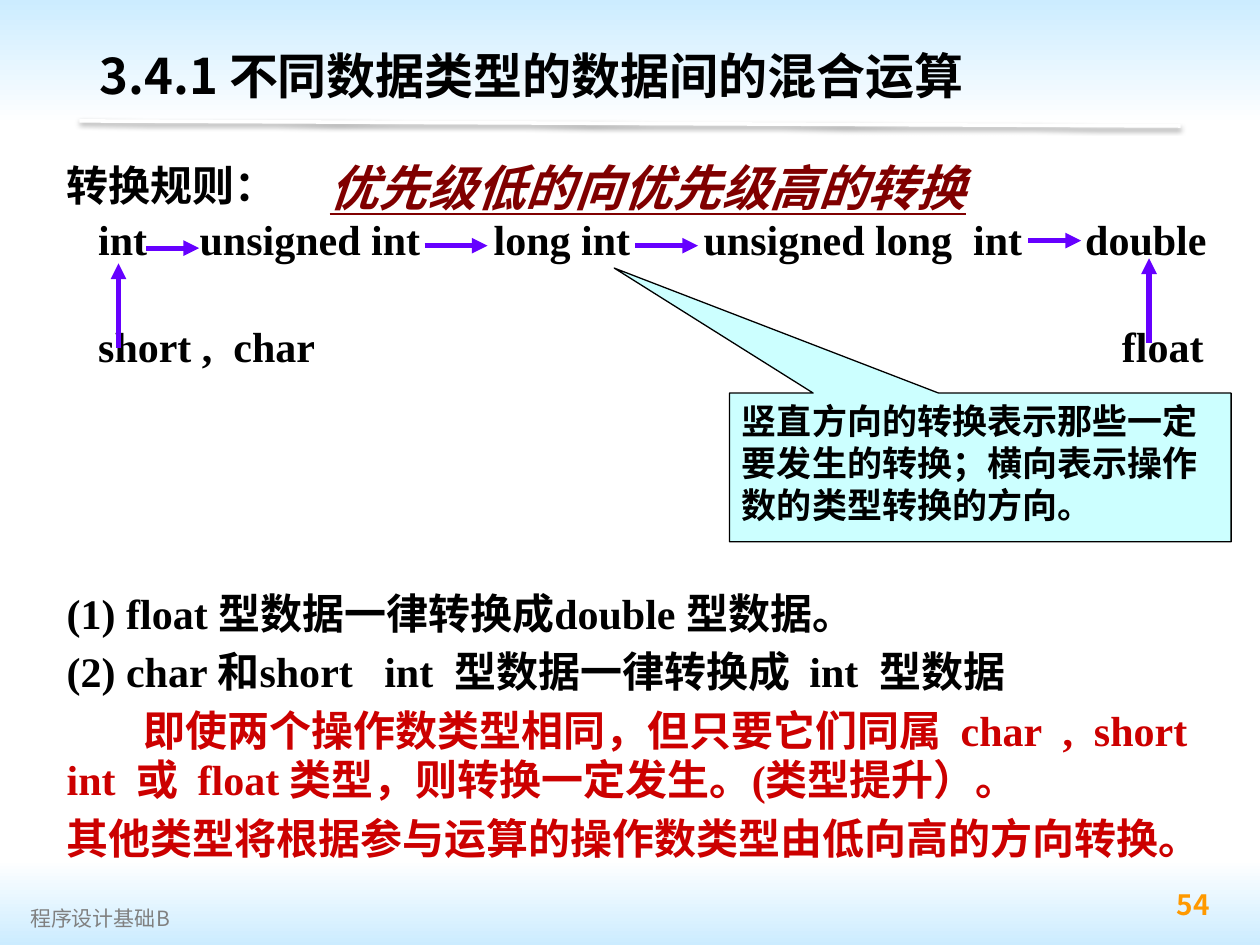
"""Build the slide on mixed arithmetic between data types."""
from lxml import etree
from pptx import Presentation
from pptx.dml.color import RGBColor
from pptx.enum.shapes import MSO_CONNECTOR, MSO_SHAPE
from pptx.enum.text import MSO_ANCHOR, MSO_AUTO_SIZE, PP_ALIGN
from pptx.oxml.ns import qn
from pptx.util import Pt

RECTANGLE, CALLOUT = MSO_SHAPE.RECTANGLE, MSO_SHAPE.RECTANGULAR_CALLOUT
STRAIGHT = MSO_CONNECTOR.STRAIGHT
TOP, MIDDLE = MSO_ANCHOR.TOP, MSO_ANCHOR.MIDDLE
LEFT, CENTER, RIGHT = PP_ALIGN.LEFT, PP_ALIGN.CENTER, PP_ALIGN.RIGHT
NO_FIT = MSO_AUTO_SIZE.NONE

SANS, SERIF = "Noto Sans CJK SC", "Times New Roman"
COLORS = {
    "sky": "CCECFF", "white": "FFFFFF", "black": "000000", "gray": "808080",
    "orange": "FF9900", "violet": "6600FF", "red": "CC0000",
    "maroon": "800000", "cyan": "CCFFFF",
}
TYPE_STOPS = [18, 76, 244, 364, 582]
PROMOTED_STOPS = [18, 603]
ARROWS = [
    (83.5, 141.8, 113.8, 141.8), (242.6, 140.4, 278.6, 140.4),
    (362.9, 140.4, 398.9, 140.4), (587.5, 137.5, 617.8, 137.5),
    (67.7, 198.7, 67.7, 150.5), (656.6, 195.8, 656.6, 147.6),
]


def color(name):
    """Return the named colour."""
    return RGBColor.from_string(COLORS[name])


def style(para, size, tint, font=SERIF, bold=True, align=LEFT):
    """Format a paragraph and its runs."""
    para.alignment = align
    for span in para.runs:
        span.font.size = Pt(size)
        span.font.name = font
        span.font.bold = bold
        span.font.color.rgb = color(tint)
        etree.SubElement(span.font._element, qn("a:ea"), typeface=SANS)


def space(para, line, before=0):
    """Set exact line spacing and the space before a paragraph."""
    para.line_spacing = Pt(line)
    para.space_before = Pt(before)


def add_tabs(para, stops):
    """Give a paragraph left tab stops."""
    tabs = etree.SubElement(para._p.get_or_add_pPr(), qn("a:tabLst"))
    for stop in stops:
        etree.SubElement(tabs, qn("a:tab"), pos=str(Pt(stop)), algn="l")


def add_text(page, bounds, text, anchor=TOP, wrap=True):
    """Add a text box and return its paragraphs."""
    frame = page.shapes.add_textbox(*map(Pt, bounds)).text_frame
    frame.word_wrap = wrap
    frame.auto_size = NO_FIT
    frame.vertical_anchor = anchor
    frame.text = text
    return frame.paragraphs


def add_band(page, top, height, start, end):
    """Add a full-width band fading downwards."""
    band = page.shapes.add_shape(RECTANGLE, 0, Pt(top), Pt(720), Pt(height))
    band.shadow.inherit = False
    band.line.fill.background()
    band.fill.gradient()
    band.fill.gradient_angle = 270
    for stop, name, position in zip(band.fill.gradient_stops, (start, end), (0, 1)):
        stop.color.rgb = color(name)
        stop.position = position


def add_line(page, ends, tint, width):
    """Add a straight line; return it with its empty effect list."""
    line = page.shapes.add_connector(STRAIGHT, *map(Pt, ends))
    line.line.color.rgb = color(tint)
    line.line.width = Pt(width)
    effects = etree.SubElement(line._element.spPr, qn("a:effectLst"))
    return line, effects


def add_arrow(page, ends):
    """Add a conversion arrow."""
    arrow, _ = add_line(page, ends, "violet", 3)
    etree.SubElement(arrow.line._get_or_add_ln(), qn("a:tailEnd"), type="triangle")


def add_divider(page):
    """Add the shadowed white line under the title."""
    _, effects = add_line(page, (45.4, 69.1, 674.6, 72), "white", 2)
    shadow = etree.SubElement(
        effects, qn("a:outerShdw"), blurRad=str(Pt(3.1)), dist=str(Pt(1.6)),
        dir="5400000", algn="t", rotWithShape="0")
    tint = etree.SubElement(shadow, qn("a:srgbClr"), val=COLORS["black"])
    etree.SubElement(tint, qn("a:alpha"), val="38000")


def set_title(page):
    """Place and format the title."""
    title = page.shapes.title
    title.left, title.top, title.width, title.height = map(Pt, (49.7, 20.2, 612, 45.4))
    frame = title.text_frame
    frame.text = "3.4.1 不同数据类型的数据间的混合运算"
    frame.vertical_anchor = MIDDLE
    frame.auto_size = NO_FIT
    style(frame.paragraphs[0], 28, "black", SANS)


def add_type_ladder(page):
    """Add the rows of type names and their arrows."""
    heading, types, promoted = add_text(
        page, (31, 88.6, 672, 143.3),
        "转换规则：\n"
        "\tint\tunsigned int\tlong int\tunsigned long  int\tdouble\n"
        "\tshort ,  char\tfloat")
    for para, line, before in ((heading, 28, 0), (types, 26, 4.8), (promoted, 26, 35)):
        style(para, 24, "black")
        space(para, line, before)
    add_tabs(types, TYPE_STOPS)
    add_tabs(promoted, PROMOTED_STOPS)
    for ends in ARROWS:
        add_arrow(page, ends)


def add_rules(page):
    """Add the conversion rules."""
    paras = add_text(
        page, (31, 332.6, 675.4, 168.5),
        "(1) float 型数据一律转换成double 型数据。\n"
        "(2) char 和short   int  型数据一律转换成  int  型数据\n"
        "即使两个操作数类型相同，但只要它们同属  char  ,  short int  或  float 类型，"
        "则转换一定发生。(类型提升）。\n"
        "其他类型将根据参与运算的操作数类型由低向高的方向转换。")
    for index, para in enumerate(paras):
        style(para, 24, "black" if index < 2 else "red")
        space(para, 28.5, 4.8 if index else 0)
    paras[2]._p.get_or_add_pPr().set("indent", str(Pt(44)))


def add_callout(page):
    """Add the note explaining the arrow directions."""
    note = page.shapes.add_shape(CALLOUT, *map(Pt, (416.9, 224.6, 286.6, 85)))
    note.adjustments[0], note.adjustments[1] = -0.73, -1.34
    note.shadow.inherit = False
    note.fill.solid()
    note.fill.fore_color.rgb = color("cyan")
    note.line.color.rgb = color("black")
    note.line.width = Pt(0.75)
    frame = note.text_frame
    frame.word_wrap = True
    frame.vertical_anchor = TOP
    frame.text = "竖直方向的转换表示那些一定要发生的转换；横向表示操作数的类型转换的方向。"
    style(frame.paragraphs[0], 20, "black")
    space(frame.paragraphs[0], 24)


def add_slogan(page):
    """Add the underlined main rule."""
    para, = add_text(page, (180, 86.4, 380.2, 41), "优先级低的向优先级高的转换", MIDDLE, False)
    style(para, 28, "maroon", "Arial", align=CENTER)
    para.runs[0].font.italic = True
    para.runs[0].font.underline = True


def add_footer(page):
    """Add the course name and the page number."""
    course, = add_text(page, (10.1, 514.8, 140, 20), "程序设计基础B", MIDDLE)
    style(course, 12, "gray", SANS, False)
    number, = add_text(page, (645, 502.6, 53.3, 28.1), "54", MIDDLE)
    style(number, 16, "orange", SANS, align=RIGHT)


def main():
    """Assemble and save the deck."""
    deck = Presentation()
    deck.slide_width, deck.slide_height = Pt(720), Pt(540)
    page = deck.slides.add_slide(deck.slide_layouts[5])
    add_band(page, 0, 71.3, "sky", "white")
    add_band(page, 491, 49, "white", "sky")
    title = page.shapes.title._element
    title.getparent().append(title)
    set_title(page)
    add_divider(page)
    add_footer(page)
    add_type_ladder(page)
    add_rules(page)
    add_callout(page)
    add_slogan(page)
    deck.save("out.pptx")


if __name__ == "__main__":
    main()
